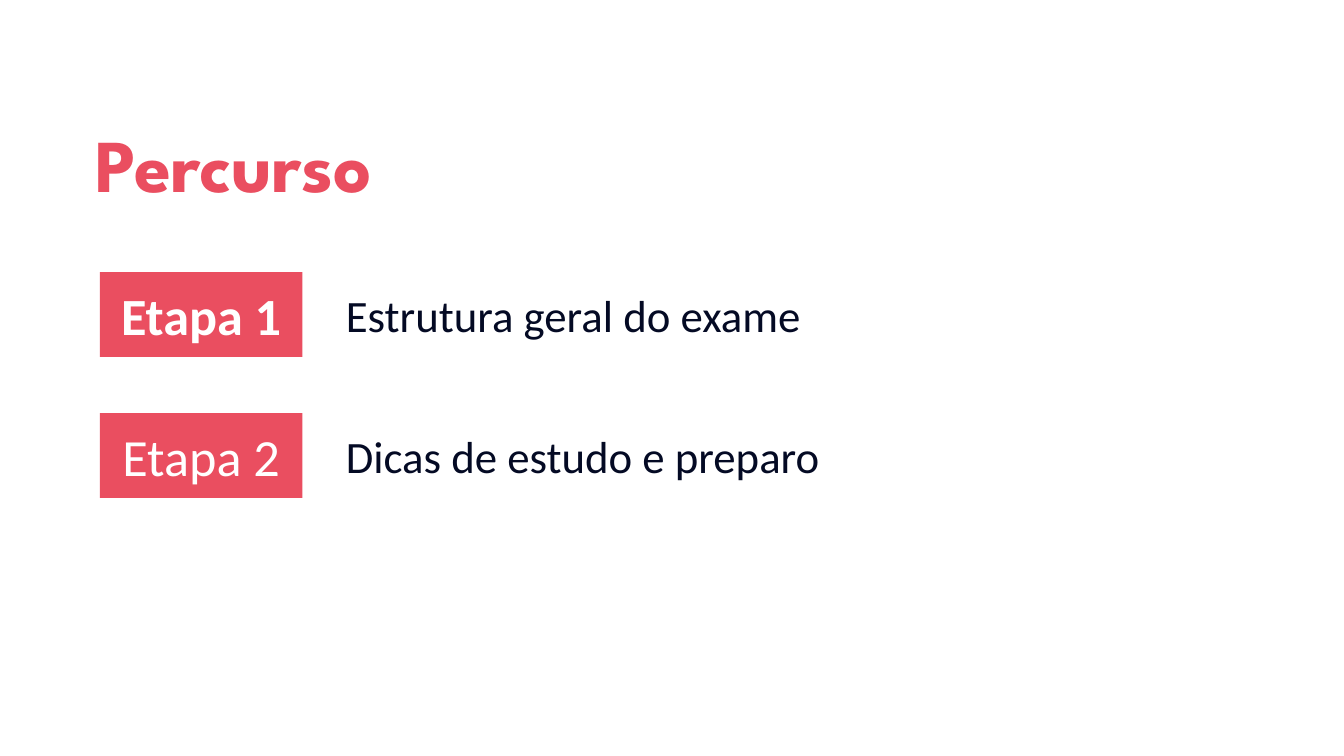
from dataclasses import dataclass

from pptx import Presentation
from pptx import util as u
from pptx.dml.color import RGBColor
from pptx.enum import shapes, text

COLORS = {"accent": "EA4E60", "dark": "040A24", "white": "FFFFFF"}
FIRST_TOP = 2.7
STEP_PITCH = 1.4


@dataclass
class Step:
    label: str
    topic: str
    bold: bool


STEPS = [
    Step("Etapa 1", "Estrutura geral do exame", True),
    Step("Etapa 2", "Dicas de estudo e preparo", False),
]


def write(sp, content: str, size: float, color: str, font: str = "Calibri",
          bold: bool = False, align=text.PP_ALIGN.LEFT,
          anchor=text.MSO_ANCHOR.MIDDLE, margin_y: float = 0.13) -> None:
    tf = sp.text_frame
    tf.text = content
    tf.word_wrap = True
    tf.auto_size = text.MSO_AUTO_SIZE.NONE
    tf.vertical_anchor = anchor
    tf.margin_left = tf.margin_right = u.Inches(0.13)
    tf.margin_top = tf.margin_bottom = u.Inches(margin_y)
    p = tf.paragraphs[0]
    p.alignment = align
    r = p.runs[0]
    r.font.name = font
    r.font.size = u.Pt(size)
    r.font.bold = bold
    r.font.color.rgb = RGBColor.from_string(COLORS[color])


def add_title(s, content: str) -> None:
    sp = s.shapes.title
    sp.left, sp.top = u.Inches(0.82), u.Inches(0.93)
    sp.width, sp.height = u.Inches(10.81), u.Inches(1.23)
    write(sp, content, 53.3, "accent", font="League Spartan", bold=True)
    sp.text_frame.paragraphs[0].line_spacing = 1.15


def add_step(s, step: Step, top: float) -> None:
    sp = s.shapes.add_shape(shapes.MSO_SHAPE.RECTANGLE, u.Inches(0.99),
                            u.Inches(top), u.Inches(2.01), u.Inches(0.84))
    sp.shadow.inherit = False
    sp.fill.solid()
    sp.fill.fore_color.rgb = RGBColor.from_string(COLORS["accent"])
    sp.line.fill.background()
    write(sp, step.label, 37.3, "white", bold=step.bold,
          align=text.PP_ALIGN.CENTER)

    topic = s.shapes.add_textbox(u.Inches(3.3), u.Inches(top + 0.08),
                                 u.Inches(9), u.Inches(0.67))
    write(topic, step.topic, 32, "dark", anchor=text.MSO_ANCHOR.TOP,
          margin_y=0.07)


def main() -> None:
    prs = Presentation()
    prs.slide_width, prs.slide_height = u.Inches(13.33), u.Inches(7.5)
    s = prs.slides.add_slide(prs.slide_layouts[5])
    add_title(s, "Percurso")
    for i, step in enumerate(STEPS):
        add_step(s, step, FIRST_TOP + i * STEP_PITCH)
    prs.save("out.pptx")


if __name__ == "__main__":
    main()
